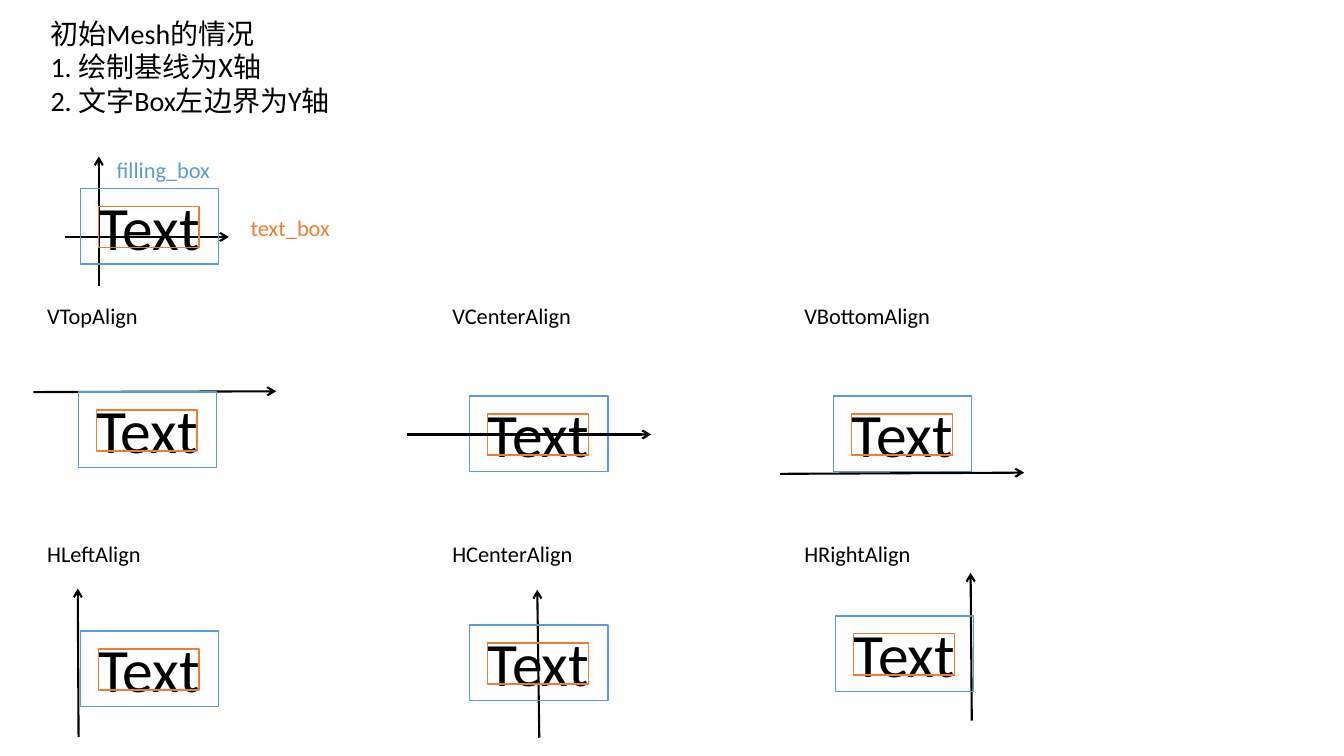
from pptx import Presentation
from pptx.dml.color import RGBColor
from pptx.enum.shapes import MSO_CONNECTOR, MSO_SHAPE
from pptx.enum.text import MSO_ANCHOR, MSO_AUTO_SIZE, PP_ALIGN
from pptx.oxml.ns import qn
from pptx.util import Cm, Pt
from lxml import etree

STRAIGHT = MSO_CONNECTOR.STRAIGHT
RECT = MSO_SHAPE.RECTANGLE
TOP = MSO_ANCHOR.TOP
NO_FIT = MSO_AUTO_SIZE.NONE
LEFT = PP_ALIGN.LEFT

BLACK, ORANGE, BLUE = "000000", "ED7D31", "5B9BD5"


def color(hex_string):
    return RGBColor.from_string(hex_string)


class Deck:
    """Holds the style and the current slide; lengths are in centimetres."""
    font = "Calibri"
    label_h = 0.94

    def __init__(self, width, height):
        self.prs = Presentation()
        self.prs.slide_width, self.prs.slide_height = Cm(width), Cm(height)
        self.s = self.prs.slides.add_slide(self.prs.slide_layouts[1])

    def fill_text(self, sp, lines, size, hex_string):
        tf = sp.text_frame
        tf.word_wrap, tf.auto_size, tf.vertical_anchor = True, NO_FIT, TOP
        for i, line in enumerate(lines):
            p = tf.add_paragraph() if i else tf.paragraphs[0]
            p.alignment, p.space_before = LEFT, Pt(0)
            r = p.add_run()
            r.text = line
            r.font.name, r.font.size = self.font, Pt(size)
            r.font.color.rgb = color(hex_string)

    def body(self, x, y, w, h, lines, size):
        title, sp = self.s.shapes.title, self.s.placeholders[1]
        title.element.getparent().remove(title.element)
        sp.left, sp.top, sp.width, sp.height = Cm(x), Cm(y), Cm(w), Cm(h)
        self.fill_text(sp, lines, size, BLACK)
        for p in sp.text_frame.paragraphs:
            pPr = p._p.get_or_add_pPr()
            pPr.set("marL", "0")
            pPr.set("indent", "0")
            etree.SubElement(pPr, qn("a:buNone"))

    def text(self, x, y, w, h, line, size, hex_string=BLACK, shapes=None):
        shapes = shapes or self.s.shapes
        sp = shapes.add_textbox(Cm(x), Cm(y), Cm(w), Cm(h))
        self.fill_text(sp, [line], size, hex_string)

    def label(self, x, y, w, line, hex_string=BLACK, shapes=None):
        self.text(x, y, w, self.label_h, line, 16, hex_string, shapes)

    def frame(self, x, y, w, h, hex_string, shapes=None):
        shapes = shapes or self.s.shapes
        sp = shapes.add_shape(RECT, Cm(x), Cm(y), Cm(w), Cm(h))
        sp.shadow.inherit = False
        sp.fill.background()
        sp.line.color.rgb, sp.line.width = color(hex_string), Pt(1)

    def axis(self, x1, y1, x2, y2):
        sp = self.s.shapes.add_connector(STRAIGHT, Cm(x1), Cm(y1), Cm(x2), Cm(y2))
        sp.line.color.rgb, sp.line.width = color(BLACK), Pt(1.5)
        spPr = sp._element.spPr
        etree.SubElement(spPr.find(qn("a:ln")), qn("a:tailEnd"), type="arrow")
        etree.SubElement(spPr, qn("a:effectLst"))

    def sample(self, x, y, named=False):
        """Word in its text box, inside a filling box whose corner is x, y."""
        group = self.s.shapes.add_group_shape()
        # An empty shape collection is falsy, so the word goes in first
        sp = group.shapes.add_textbox(Cm(x + 0.2), Cm(y - 0.12), Cm(5.05), Cm(1.45))
        self.fill_text(sp, ["Text"], 44, BLACK)
        if named:
            self.label(x + 4.04, y + 0.51, 3, "text_box", ORANGE, group.shapes)
        self.frame(x + 0.45, y + 0.45, 2.54, 1.04, ORANGE, group.shapes)
        self.frame(x, y, 3.48, 1.9, BLUE)
        if named:
            self.label(x + 0.66, y - 0.94, 3.1, "filling_box", BLUE)


deck = Deck(33.87, 19.05)

# Initial mesh: heading, axes and named boxes
deck.body(1.02, 0.28, 9.53, 3.68,
          ["初始Mesh的情况", "1. 绘制基线为X轴", "2. 文字Box左边界为Y轴"], 20)
deck.axis(2.49, 7.21, 2.49, 3.94)
deck.axis(1.65, 5.97, 5.77, 5.97)
deck.sample(2.03, 4.75, named=True)

# Alignment grid: name, sample corner, axis ends, axis in front of sample
COLUMNS = [0.94, 11.15, 20.02]
ROWS = [
    (7.49, [
        ("VTopAlign", (1.98, 9.88), (0.84, 9.88, 6.96, 9.86), False),
        ("VCenterAlign", (11.84, 9.98), (10.26, 10.95, 16.41, 10.95), True),
        ("VBottomAlign", (21.01, 9.98), (19.66, 11.94, 25.81, 11.91), True),
    ]),
    (13.49, [
        ("HLeftAlign", (2.03, 15.9), (1.98, 18.57, 1.96, 14.83), False),
        ("HCenterAlign", (11.84, 15.75), (13.59, 18.59, 13.54, 14.86), False),
        ("HRightAlign", (21.06, 15.52), (24.49, 18.16, 24.46, 14.43), False),
    ]),
]
for label_y, cases in ROWS:
    for label_x, (name, corner, ends, in_front) in zip(COLUMNS, cases):
        deck.label(label_x, label_y, 6.3, name)
        if not in_front:
            deck.axis(*ends)
        deck.sample(*corner)
        if in_front:
            deck.axis(*ends)

deck.prs.save("out.pptx")
